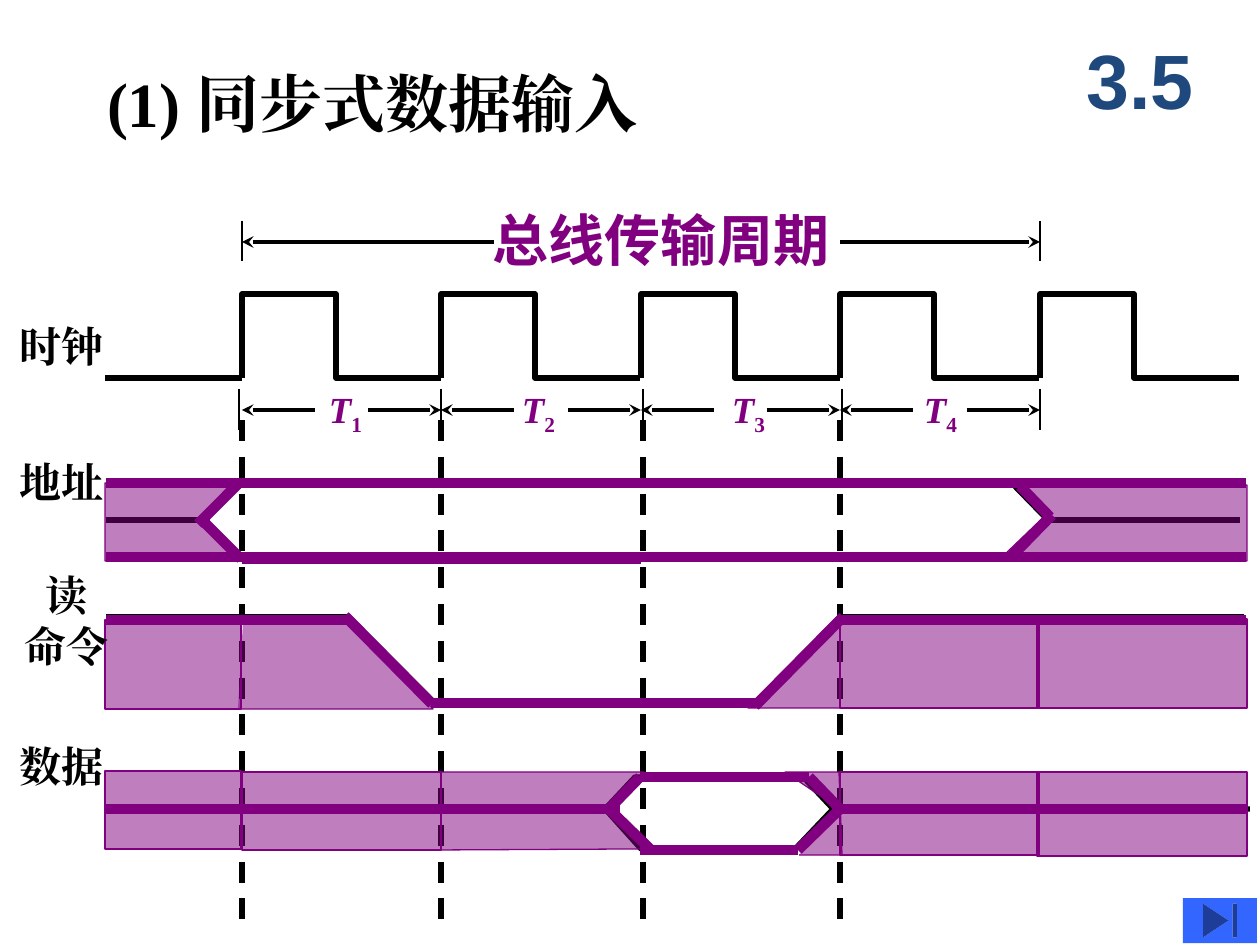
from itertools import pairwise

from lxml.etree import SubElement
from pptx import Presentation
from pptx.dml.color import RGBColor
from pptx.enum.dml import MSO_LINE
from pptx.enum.shapes import MSO_CONNECTOR, MSO_SHAPE
from pptx.enum.text import MSO_ANCHOR, MSO_AUTO_SIZE, PP_ALIGN
from pptx.oxml.ns import qn
from pptx.util import Pt

SCALE = 914400 / 126
BLACK, PURPLE, NAVY, BLUE = "000000", "800080", "1F497D", "3366FF"
SERIF, SANS, CJK = "Times New Roman", "Arial", "Noto Sans CJK SC"

TITLE = "(1) 同步式数据输入"
SECTION = "3.5"
CYCLE = "总线传输周期"
SIGNALS = [("时钟", 315), ("地址", 451), ("数据", 735)]
READ_COMMAND = ["读", "命令"]
PERIOD_LABELS = [("1", 329), ("2", 522), ("3", 732), ("4", 924)]

EDGES = [242 + 399 * n // 2 for n in range(5)]
CLOCK_HIGH, CLOCK_LOW, PULSE, CLOCK_START = 294, 378, 94, 105
CYCLE_Y, PERIOD_Y, PERIOD_ARROW = 242, 410, 73
TICKS = [239, 441, 643, 842, 1040]
GUIDES = [(242, 930), (441, 935), (643, 935), (840, 935)]

THIN_TRACES = [
    (106, 617, 350, 617), (436, 704, 348, 616), (844, 615, 759, 701),
    (433, 702, 760, 702), (843, 617, 1244, 617),
    (210, 520, 106, 520), (1050, 520, 1240, 520),
    (105, 809, 605, 809), (833, 808, 1250, 809),
]
ADDRESS_WINDOW = [(241, 483), (204, 520), (242, 558), (498, 558),
                  (1011, 558), (1047, 520), (1011, 483)]
DATA_WINDOW = [(605, 809), (635, 777), (803, 777), (833, 809), (795, 849), (641, 849)]

SHADED_BLOCKS = [
    (105, 620, 136, 89), (840, 620, 199, 88), (1037, 619, 210, 89),
    (105, 771, 136, 78), (242, 772, 199, 78), (840, 772, 199, 83), (1037, 772, 210, 84),
]
SHADED_OUTLINES = [
    [(204, 525), (232, 484), (105, 483), (105, 561), (239, 561)],
    [(1016, 483), (1247, 485), (1247, 561), (998, 561), (1047, 514)],
    [(238, 709), (433, 709), (348, 620), (243, 622)],
    [(748, 708), (840, 708), (840, 614), (748, 708)],
    [(440, 772), (644, 772), (609, 809), (644, 849), (441, 850)],
    [(840, 809), (785, 772), (839, 772), (842, 855), (799, 855)],
]
LEVELS = [
    (483, [106, *EDGES[:3], 756, *EDGES[3:], 1246]),
    (557, [106, *EDGES[:3], 756, *EDGES[3:], 1246]),
    (620, [106, 242, 347]), (620, [840, 1040, 1246]),
    (703, [431, 640, 756]),
    (777, [640, 756, 809]), (850, [640, 756, 798]),
    (809, [106, 242, 441, 620]), (809, [840, 1040, 1246]),
]
SLOPES = [
    (241, 559, 200, 518), (238, 484, 198, 524), (1052, 515, 1012, 556), (1050, 517, 1020, 486),
    (432, 704, 345, 616), (843, 617, 755, 706),
    (609, 809, 640, 777), (609, 809, 651, 850), (798, 850, 840, 809), (809, 777, 840, 809),
]


def px(*lengths):
    return [round(length * SCALE) for length in lengths]


def color(value):
    return RGBColor.from_string(value)


def add_line(ends, width, shade=BLACK, arrow=None, dashed=False):
    connector = slide.shapes.add_connector(MSO_CONNECTOR.STRAIGHT, *px(*ends))
    connector.line.color.rgb = color(shade)
    connector.line.width = Pt(width)
    if dashed:
        connector.line.dash_style = MSO_LINE.DASH
    if arrow:
        SubElement(connector.line._get_or_add_ln(), qn(f"a:{arrow}"), type="stealth")
    SubElement(connector._element.spPr, qn("a:effectLst"))


def style_outline(shape, width, shade):
    shape.shadow.inherit = False
    shape.fill.background()
    shape.line.color.rgb = color(shade)
    shape.line.width = Pt(width)


def shade_half(shape):
    style_outline(shape, 0.75, PURPLE)
    shape.fill.solid()
    shape.fill.fore_color.rgb = color(PURPLE)
    tint = shape._element.spPr.find(qn("a:solidFill"))[0]
    SubElement(tint, qn("a:alpha"), val="50000")


def add_outline(points, closed, width=3):
    builder = slide.shapes.build_freeform(*points[0], scale=SCALE)
    builder.add_line_segments(points[1:], close=closed)
    outline = builder.convert_to_shape()
    style_outline(outline, width, BLACK)
    return outline


def add_text(box, lines, size, shade=BLACK, font=SERIF, insets=(13, 6, 13, 6),
             align=PP_ALIGN.LEFT, wrap=True, grow=True):
    frame = slide.shapes.add_textbox(*px(*box)).text_frame
    frame.word_wrap = wrap
    frame.auto_size = MSO_AUTO_SIZE.SHAPE_TO_FIT_TEXT if grow else MSO_AUTO_SIZE.NONE
    frame.margin_left, frame.margin_top, frame.margin_right, frame.margin_bottom = px(*insets)
    frame.text = "\n".join(lines)
    for paragraph in frame.paragraphs:
        paragraph.alignment = align
        for run in paragraph.runs:
            style_run(run, size, shade, font)
    return frame


def style_run(run, size, shade, font):
    run.font.size = Pt(size)
    run.font.bold = True
    run.font.color.rgb = color(shade)
    run.font.name = font
    SubElement(run._r.get_or_add_rPr(), qn("a:ea"), typeface=font)


presentation = Presentation()
presentation.slide_width, presentation.slide_height = px(1260, 945)
slide = presentation.slides.add_slide(presentation.slide_layouts[6])

for trace in THIN_TRACES:
    add_line(trace, 3)
add_outline(ADDRESS_WINDOW, True, 2.5)
add_outline(DATA_WINDOW, True)

add_line((EDGES[0], CLOCK_LOW, CLOCK_START, CLOCK_LOW), 3)
for edge in EDGES:
    fall = edge + PULSE
    add_outline([(edge, CLOCK_LOW), (edge, CLOCK_HIGH), (fall, CLOCK_HIGH),
                 (fall, CLOCK_LOW), (edge + 199, CLOCK_LOW)], False)

for limit in (EDGES[0], EDGES[-1]):
    add_line((limit, 221, limit, 261), 1.25)
add_line((EDGES[0], CYCLE_Y, 494, CYCLE_Y), 2.25, arrow="headEnd")
add_line((840, CYCLE_Y, EDGES[-1], CYCLE_Y), 2.25, arrow="tailEnd")
for tick in TICKS:
    add_line((tick, 389, tick, 430), 1.25)
for start, end in pairwise(EDGES):
    add_line((start, PERIOD_Y, start + PERIOD_ARROW, PERIOD_Y), 2.25, arrow="headEnd")
    add_line((end - PERIOD_ARROW, PERIOD_Y, end, PERIOD_Y), 2.25, arrow="tailEnd")

for x, bottom in GUIDES:
    add_line((x, 420, x, bottom), 3, dashed=True)
for block in SHADED_BLOCKS:
    shade_half(slide.shapes.add_shape(MSO_SHAPE.RECTANGLE, *px(*block)))
for points in SHADED_OUTLINES:
    shade_half(add_outline(points, False))
for y in (485, 561):
    for left, right in pairwise(EDGES[:3]):
        add_line((left, y, right, y), 3, PURPLE)
for y, stops in LEVELS:
    for left, right in pairwise(stops):
        add_line((left, y, right, y), 6, PURPLE)
for slope in SLOPES:
    add_line(slope, 6, PURPLE)

add_text((94, 59, 651, 88), [TITLE], 36)
add_text((493, 205, 338, 67), [CYCLE], 32, PURPLE, CJK, (0, 0, 0, 0), wrap=False)
for signal, top in SIGNALS:
    add_text((10, top, 126, 63), [signal], 24, insets=(10, 6, 13, 6))
add_text((24, 564, 126, 113), READ_COMMAND, 24, insets=(0, 6, 41, 6), align=PP_ALIGN.CENTER)
for number, left in PERIOD_LABELS:
    period = add_text((left, 387, 35, 44), ["T"], 21, PURPLE, insets=(0, 0, 0, 0), wrap=False)
    period.paragraphs[0].runs[0].font.italic = True
    subscript = period.paragraphs[0].add_run()
    subscript.text = number
    style_run(subscript, 21, PURPLE, SERIF)
    subscript._r.get_or_add_rPr().set("baseline", "-25000")
section = add_text((1061, 21, 158, 116), [SECTION], 44, NAVY, SANS,
                   align=PP_ALIGN.CENTER, grow=False)
section.vertical_anchor = MSO_ANCHOR.MIDDLE

end_button = slide.shapes.add_shape(MSO_SHAPE.ACTION_BUTTON_END, *px(1183, 898, 74, 45))
end_button.shadow.inherit = False
end_button.fill.solid()
end_button.fill.fore_color.rgb = color(BLUE)
end_button.line.fill.background()

presentation.save("out.pptx")
